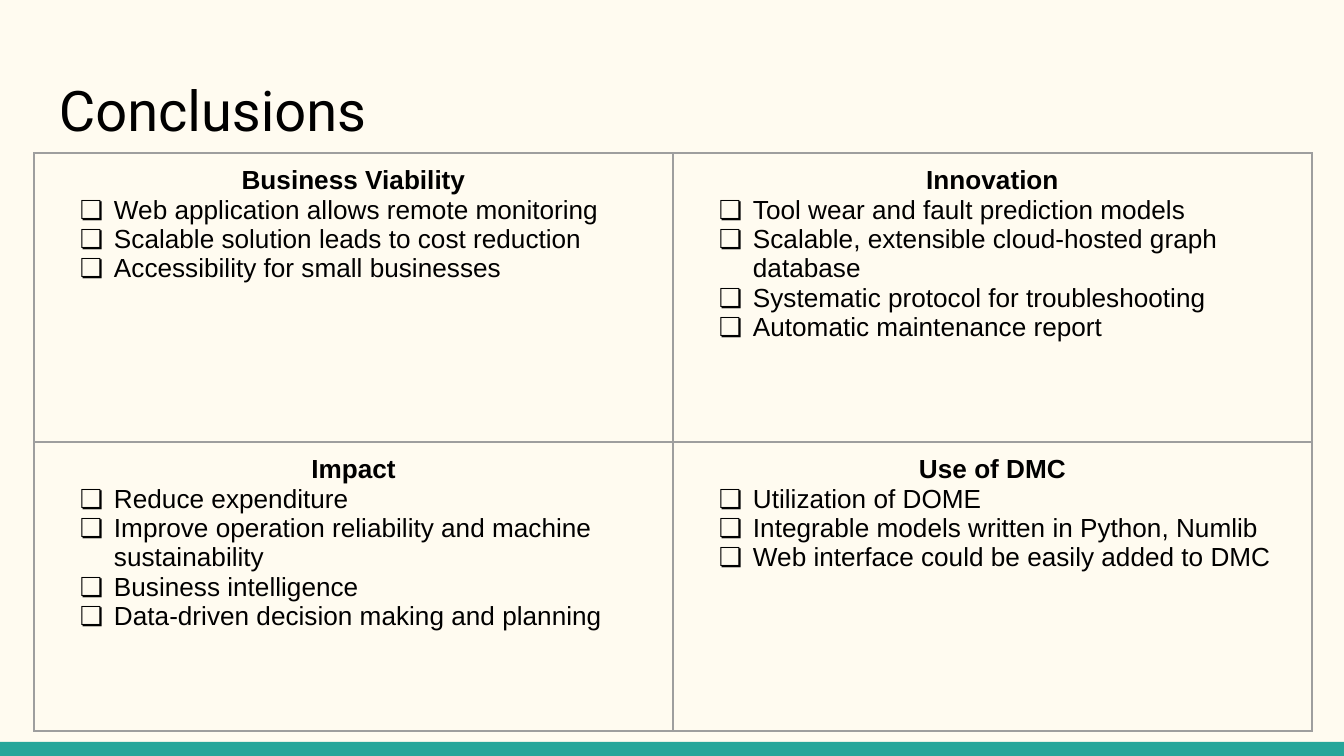
from lxml import etree
from pptx import Presentation
from pptx.dml.color import RGBColor
from pptx.enum.shapes import MSO_SHAPE
from pptx.enum.text import MSO_ANCHOR, PP_ALIGN
from pptx.oxml.ns import qn
from pptx.util import Emu, Pt

RECTANGLE = MSO_SHAPE.RECTANGLE
TOP, BOTTOM = MSO_ANCHOR.TOP, MSO_ANCHOR.BOTTOM
LEFT, CENTER = PP_ALIGN.LEFT, PP_ALIGN.CENTER

TITLE = "Conclusions"
QUADRANTS = [
    [
        ("Business Viability", [
            "Web application allows remote monitoring",
            "Scalable solution leads to cost reduction",
            "Accessibility for small businesses",
        ]),
        ("Innovation", [
            "Tool wear and fault prediction models",
            "Scalable, extensible cloud-hosted graph database",
            "Systematic protocol for troubleshooting",
            "Automatic maintenance report",
        ]),
    ],
    [
        ("Impact", [
            "Reduce expenditure",
            "Improve operation reliability and machine sustainability",
            "Business intelligence",
            "Data-driven decision making and planning",
        ]),
        ("Use of DMC", [
            "Utilization of DOME",
            "Integrable models written in Python, Numlib",
            "Web interface could be easily added to DMC",
        ]),
    ],
]

COLORS = {"background": "FFFBF0", "bar": "26A69A", "text": "000000", "border": "9E9E9E"}
SLIDE_WIDTH, SLIDE_HEIGHT = 1344, 756
BAR_HEIGHT = 14
TITLE_BOX = (46, 66, 1252, 90)
TABLE_LEFT, TABLE_TOP = 34, 153
COLUMN_WIDTH, ROW_HEIGHT = 639, 289
INSET, BULLET_INDENT, BULLET_HANG = 13, 67, 34
BULLET = "❏"
MARGINS = ("margin_left", "margin_right", "margin_top", "margin_bottom")
TITLE_FONT = {"name": "Roboto", "size": Pt(30), "bold": False}
HEADING_FONT = {"name": "Arial", "size": Pt(14), "bold": True}
ITEM_FONT = {**HEADING_FONT, "bold": False}


def px(length):
    """Turn px into EMU."""
    return Emu(round(length * 914400 / 134.4))


def color(name):
    """Look up a named colour."""
    return RGBColor.from_string(COLORS[name])


def set_values(target, values):
    """Set each attribute of the target from a dict."""
    for name, value in values.items():
        setattr(target, name, value)


def format_paragraph(paragraph, text, font, alignment):
    """Write one paragraph and format it."""
    paragraph.text = text
    paragraph.alignment = alignment
    run_font = paragraph.runs[0].font
    set_values(run_font, font)
    run_font.color.rgb = color("text")


def add_bullet(paragraph):
    """Give a paragraph a hanging box bullet."""
    properties = paragraph._p.get_or_add_pPr()
    properties.set("marL", str(px(BULLET_INDENT)))
    properties.set("indent", str(-px(BULLET_HANG)))
    etree.SubElement(properties, qn("a:buFont"), typeface="Arial")
    etree.SubElement(properties, qn("a:buChar"), char=BULLET)


def add_borders(cell):
    """Draw a thin line on all four sides of a cell."""
    properties = cell._tc.get_or_add_tcPr()
    for position, side in enumerate(("a:lnL", "a:lnR", "a:lnT", "a:lnB")):
        line = etree.Element(qn(side), w=str(Pt(0.75)))
        fill = etree.SubElement(line, qn("a:solidFill"))
        etree.SubElement(fill, qn("a:srgbClr"), val=COLORS["border"])
        properties.insert(position, line)


def fill_cell(cell, heading, items):
    """Write a heading and its bulleted items into a cell."""
    set_values(cell, {**dict.fromkeys(MARGINS, px(INSET)), "vertical_anchor": TOP})
    cell.fill.background()
    add_borders(cell)
    frame = cell.text_frame
    format_paragraph(frame.paragraphs[0], heading, HEADING_FONT, CENTER)
    for item in items:
        paragraph = frame.add_paragraph()
        add_bullet(paragraph)
        format_paragraph(paragraph, item, ITEM_FONT, LEFT)


def add_title(slide):
    """Place and format the title placeholder."""
    title = slide.shapes.title
    set_values(title, dict(zip(("left", "top", "width", "height"), map(px, TITLE_BOX))))
    frame = title.text_frame
    set_values(frame, {**dict.fromkeys(MARGINS, px(INSET)), "vertical_anchor": BOTTOM, "word_wrap": True})
    format_paragraph(frame.paragraphs[0], TITLE, TITLE_FONT, LEFT)


def add_bar(slide):
    """Add the coloured bar along the bottom edge."""
    bar = slide.shapes.add_shape(
        RECTANGLE, 0, px(SLIDE_HEIGHT - BAR_HEIGHT), px(SLIDE_WIDTH), px(BAR_HEIGHT))
    bar.shadow.inherit = False
    bar.fill.solid()
    bar.fill.fore_color.rgb = color("bar")
    bar.line.fill.background()


def add_quadrants(slide):
    """Add the table of conclusions."""
    rows, columns = len(QUADRANTS), len(QUADRANTS[0])
    table = slide.shapes.add_table(
        rows, columns, px(TABLE_LEFT), px(TABLE_TOP),
        px(columns * COLUMN_WIDTH), px(rows * ROW_HEIGHT)).table
    set_values(table, {"first_row": False, "horz_banding": False})
    for row, quadrants in enumerate(QUADRANTS):
        for column, (heading, items) in enumerate(quadrants):
            fill_cell(table.cell(row, column), heading, items)


def main():
    """Build and save the conclusions slide."""
    presentation = Presentation()
    set_values(presentation, {"slide_width": px(SLIDE_WIDTH), "slide_height": px(SLIDE_HEIGHT)})
    slide = presentation.slides.add_slide(presentation.slide_layouts[5])
    slide.background.fill.solid()
    slide.background.fill.fore_color.rgb = color("background")
    add_bar(slide)
    add_title(slide)
    add_quadrants(slide)
    presentation.save("out.pptx")


if __name__ == "__main__":
    main()
